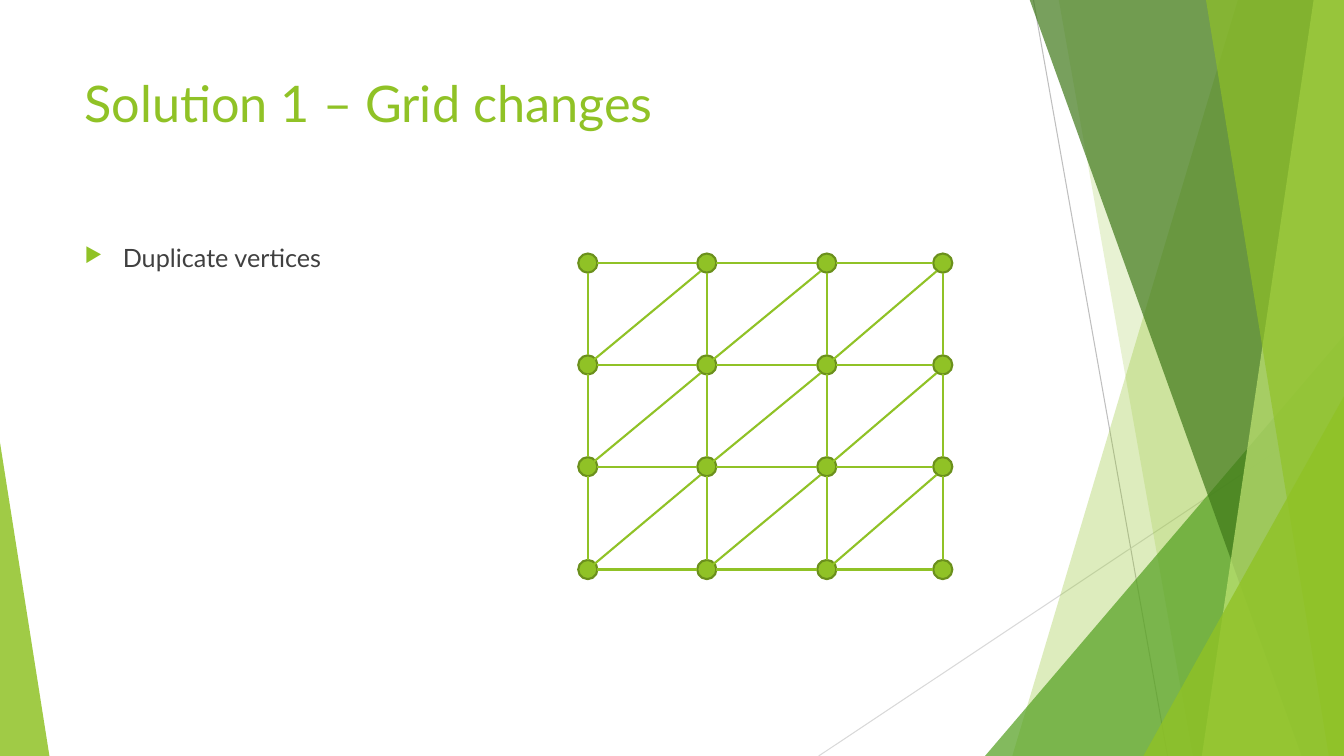
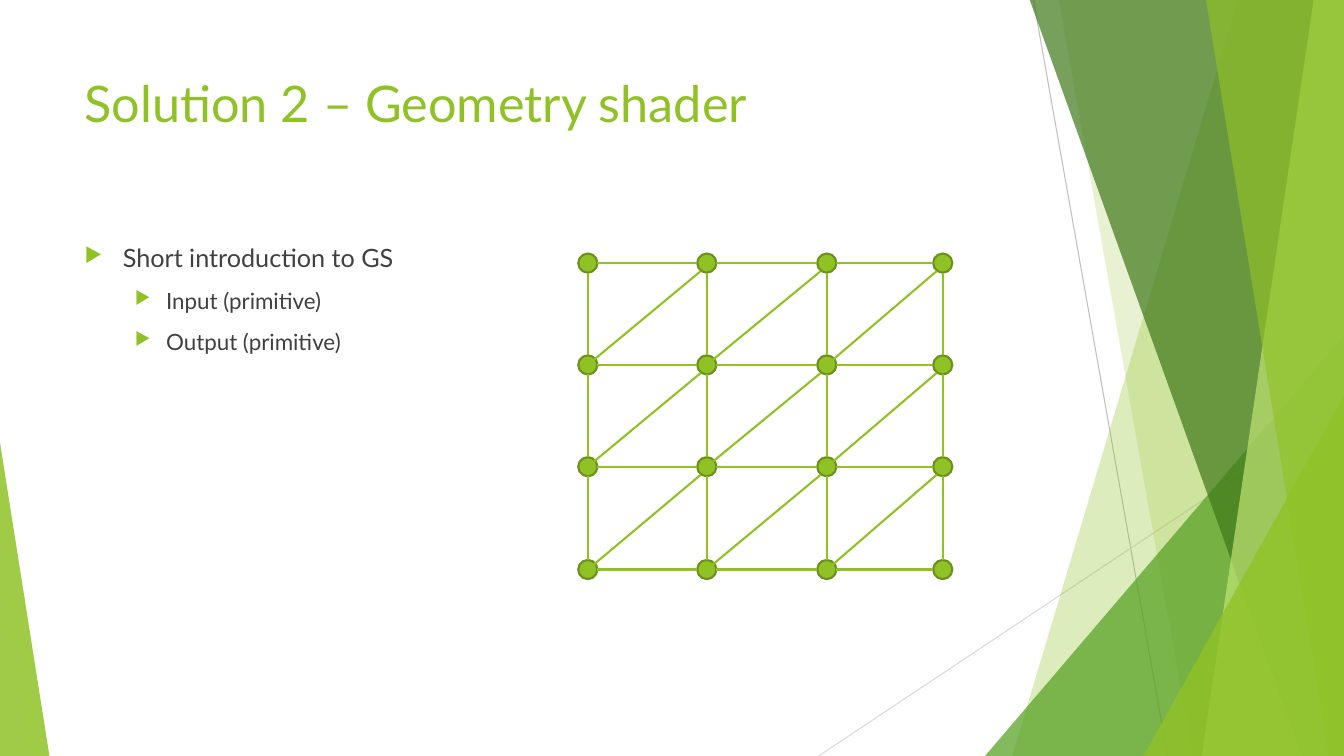
from itertools import product

from lxml import etree
from pptx import Presentation
from pptx.dml.color import RGBColor
from pptx.enum.shapes import MSO_CONNECTOR, MSO_SHAPE
from pptx.enum.text import MSO_ANCHOR, PP_ALIGN
from pptx.oxml.ns import qn
from pptx.util import Inches, Pt

STRAIGHT = MSO_CONNECTOR.STRAIGHT
ELLIPSE = MSO_SHAPE.OVAL
TRIANGLE = MSO_SHAPE.ISOSCELES_TRIANGLE
TOP = MSO_ANCHOR.TOP
LEFT = PP_ALIGN.LEFT

WIDTH, HEIGHT = 13.33, 7.5
FONT = "Lato"
GREEN, DARK_GREEN, TEXT = "90C226", "6B901C", "404040"

COLUMNS = (5.83, 7.01, 8.2, 9.35)
ROWS = (2.61, 3.62, 4.63, 5.65)
RADIUS = 0.095

LEVELS = ((18, 0.38, -0.38), (16, 0.81, -0.31))


def rgb(value):
    return RGBColor.from_string(value)


def write(paragraph, text, size=18, color=TEXT, font=FONT, before=0):
    paragraph.alignment = LEFT
    paragraph.space_before = Pt(before)
    run = paragraph.add_run()
    run.text = text
    run.font.name = font
    run.font.size = Pt(size)
    run.font.color.rgb = rgb(color)


def add_bullet(paragraph, indent, hanging):
    props = paragraph._p.get_or_add_pPr()
    props.set("marL", str(Inches(indent)))
    props.set("indent", str(Inches(hanging)))
    bullet_color = etree.SubElement(props, qn("a:buClr"))
    etree.SubElement(bullet_color, qn("a:srgbClr"), val=GREEN)
    etree.SubElement(props, qn("a:buSzPct"), val="80000")
    etree.SubElement(props, qn("a:buChar"), char="▶")


class Deck:
    def __init__(self):
        self.prs = Presentation()
        self.prs.slide_width = Inches(WIDTH)
        self.prs.slide_height = Inches(HEIGHT)
        self.slide = None

    def new_slide(self, title):
        self.slide = self.prs.slides.add_slide(self.prs.slide_layouts[6])
        self.backdrop()
        heading = self.text_frame(0.74, 0.67, 9.4, 1.44)
        write(heading.paragraphs[0], title, size=36, color=GREEN)

    def backdrop(self):
        self.line((10.25, 0), (11.58, HEIGHT), "BFBFBF", 0.75)
        self.line((WIDTH, 4.03), (8.12, HEIGHT), "D9D9D9", 0.75)
        self.band(12.28, 10.04, GREEN, 30)
        self.band(10.5, 11.83, GREEN, 20)
        self.triangle(9.77, 3.33, 3.56, 1, "54A021", 72)
        self.band(10.21, 12.91, "3F7819", 70)
        self.band(13.03, 11.92, "C0E474", 70)
        self.band(11.96, 13.18, GREEN, 65)
        self.triangle(11.34, 3.93, 1.99, 1, GREEN, 80)
        self.triangle(0, 4.39, 0.49, 0, GREEN, 85)

    def paint(self, shape, color, opacity=100):
        shape.shadow.inherit = False
        shape.fill.solid()
        shape.fill.fore_color.rgb = rgb(color)
        shape.line.fill.background()
        if opacity < 100:
            tone = shape._element.spPr.find(".//" + qn("a:srgbClr"))
            etree.SubElement(tone, qn("a:alpha"), val=str(opacity * 1000))

    def band(self, top_x, bottom_x, color, opacity):
        corners = [(WIDTH, -0.01), (WIDTH, HEIGHT), (bottom_x, HEIGHT)]
        outline = self.slide.shapes.build_freeform(Inches(top_x), Inches(-0.01))
        outline.add_line_segments([(Inches(x), Inches(y)) for x, y in corners])
        self.paint(outline.convert_to_shape(), color, opacity)

    def triangle(self, left, top, width, apex, color, opacity):
        wedge = self.slide.shapes.add_shape(
            TRIANGLE, Inches(left), Inches(top), Inches(width), Inches(HEIGHT - top))
        wedge.adjustments[0] = apex
        self.paint(wedge, color, opacity)

    def line(self, start, end, color=GREEN, weight=1.5):
        edge = self.slide.shapes.add_connector(
            STRAIGHT, *(Inches(value) for value in (*start, *end)))
        edge.line.color.rgb = rgb(color)
        edge.line.width = Pt(weight)
        etree.SubElement(edge._element.spPr, qn("a:effectLst"))

    def vertex(self, x, y):
        dot = self.slide.shapes.add_shape(
            ELLIPSE, Inches(x - RADIUS), Inches(y - RADIUS),
            Inches(2 * RADIUS), Inches(2 * RADIUS))
        self.paint(dot, GREEN)
        dot.line.color.rgb = rgb(DARK_GREEN)
        dot.line.width = Pt(1.5)

    def text_frame(self, left, top, width, height):
        frame = self.slide.shapes.add_textbox(
            Inches(left), Inches(top), Inches(width), Inches(height)).text_frame
        frame.word_wrap = True
        frame.vertical_anchor = TOP
        return frame

    def bullets(self, width, items):
        body = self.text_frame(0.74, 2.36, width, 4.24)
        for index, (level, text) in enumerate(items):
            paragraph = body.add_paragraph() if index else body.paragraphs[0]
            size, indent, hanging = LEVELS[level]
            paragraph.level = level
            write(paragraph, text, size=size, before=10)
            add_bullet(paragraph, indent, hanging)

    def mesh(self):
        for y, x in product(ROWS, COLUMNS):
            self.vertex(x, y)
        column_pairs = list(zip(COLUMNS, COLUMNS[1:]))
        row_pairs = list(zip(ROWS, ROWS[1:]))
        for y, (x, next_x) in product(ROWS, column_pairs):
            self.line((x + RADIUS, y), (next_x - RADIUS, y))
        for (y, next_y), x in product(row_pairs, COLUMNS):
            self.line((x, y + RADIUS), (x, next_y - RADIUS))
        for (y, next_y), (x, next_x) in product(row_pairs, column_pairs):
            self.line((next_x - 0.06, y + 0.08), (x + 0.06, next_y - 0.05))


SOLUTIONS = (
    ("Solution 1 – Grid changes", 9.4, [(0, "Duplicate vertices")]),
    ("Solution 2 – Geometry shader", 4.73, [
        (0, "Short introduction to GS"),
        (1, "Input (primitive)"),
        (1, "Output (primitive)"),
    ]),
)

deck = Deck()
for title, body_width, points in SOLUTIONS:
    deck.new_slide(title)
    deck.bullets(body_width, points)
    deck.mesh()
deck.prs.save("out.pptx")
